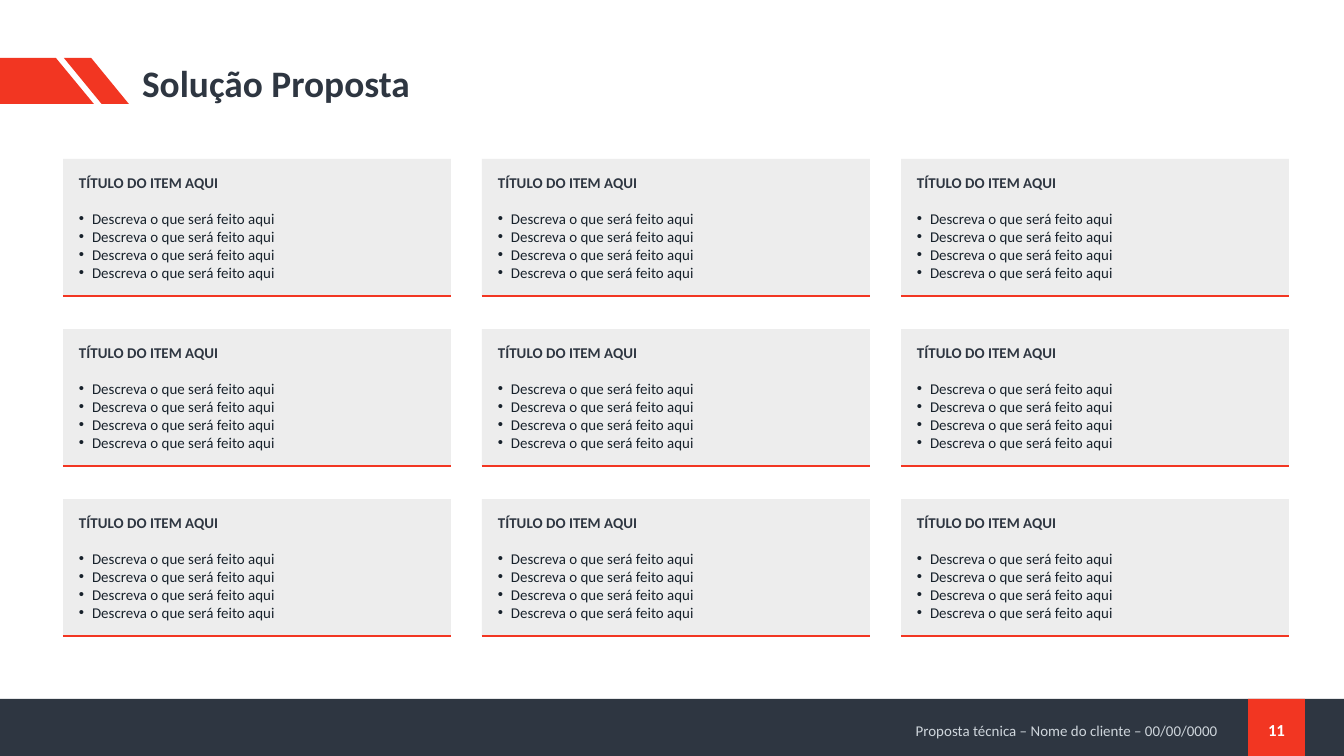
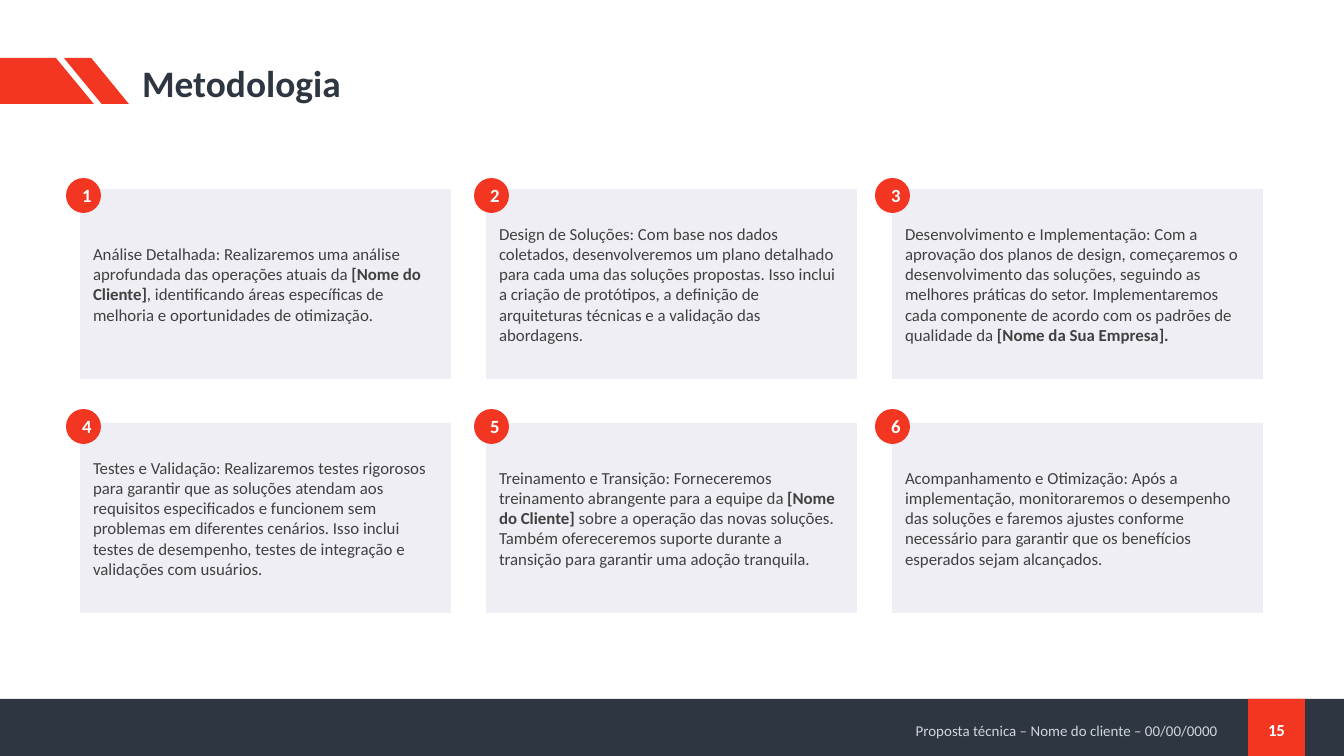
import pptx
import pptx.util
import pptx.dml.color
import pptx.enum.shapes
import pptx.enum.text
import pptx.oxml.ns
import lxml.etree

RGB = pptx.dml.color.RGBColor
KIND = pptx.enum.shapes.MSO_SHAPE
ALIGN = pptx.enum.text.PP_ALIGN
qn = pptx.oxml.ns.qn

SCALE = 914400 / 134.4  # EMU in one px
FONT = "Calibri"
NAVY = RGB(0x2E, 0x36, 0x41)
RED = RGB(0xF2, 0x36, 0x22)
INK = RGB(0x17, 0x21, 0x2B)
TEXT = RGB(0x40, 0x40, 0x40)
GRAY = RGB(0xA6, 0xA6, 0xA6)
LILAC = RGB(0xF0, 0xEE, 0xF5)
PALE = RGB(0xCF, 0xD6, 0xDC)
WHITE = RGB(0xFF, 0xFF, 0xFF)

# Each step is a list of (text, bold) runs
STEPS = [
    [("Análise Detalhada: Realizaremos uma análise aprofundada das operações atuais da ", False),
     ("[Nome do Cliente]", True),
     (", identificando áreas específicas de melhoria e oportunidades de otimização.", False)],
    [("Design de Soluções: Com base nos dados coletados, desenvolveremos um plano detalhado "
      "para cada uma das soluções propostas. Isso inclui a criação de protótipos, a definição "
      "de arquiteturas técnicas e a validação das abordagens.", False)],
    [("Desenvolvimento e Implementação: Com a aprovação dos planos de design, começaremos o "
      "desenvolvimento das soluções, seguindo as melhores práticas do setor. Implementaremos "
      "cada componente de acordo com os padrões de qualidade da ", False),
     ("[Nome da Sua Empresa].", True)],
    [("Testes e Validação: Realizaremos testes rigorosos para garantir que as soluções atendam "
      "aos requisitos especificados e funcionem sem problemas em diferentes cenários. Isso "
      "inclui testes de desempenho, testes de integração e validações com usuários.", False)],
    [("Treinamento e Transição: Forneceremos treinamento abrangente para a equipe da ", False),
     ("[Nome do Cliente] ", True),
     ("sobre a operação das novas soluções. Também ofereceremos suporte durante a transição "
      "para garantir uma adoção tranquila.", False)],
    [("Acompanhamento e Otimização: Após a implementação, monitoraremos o desempenho das "
      "soluções e faremos ajustes conforme necessário para garantir que os benefícios "
      "esperados sejam alcançados.", False)],
]


def px(n):
    return pptx.util.Emu(round(n * SCALE))


def paint(shape, color):
    shape.shadow.inherit = False
    shape.fill.solid()
    shape.fill.fore_color.rgb = color
    shape.line.fill.background()
    return shape


def box(shapes, kind, x, y, w, h, color):
    return paint(shapes.add_shape(kind, px(x), px(y), px(w), px(h)), color)


def frame(shape, left=13, right=13, top=7, wrap=True):
    """Prepare a text frame, centred in height, with insets in px."""
    tf = shape.text_frame
    tf.word_wrap = wrap
    tf.vertical_anchor = pptx.enum.text.MSO_ANCHOR.MIDDLE
    tf.margin_left, tf.margin_right = px(left), px(right)
    tf.margin_top = tf.margin_bottom = px(top)
    return tf


def write(para, text, size, color, bold=False, align=ALIGN.LEFT):
    para.alignment = align
    run = para.add_run()
    run.text = text
    run.font.name = FONT
    run.font.size = pptx.util.Pt(size)
    run.font.bold = bold
    run.font.color.rgb = color


def label(slide, x, y, w, h, right=13):
    return frame(slide.shapes.add_textbox(px(x), px(y), px(w), px(h)), right=right).paragraphs[0]


def bullet(para):
    props = para._p.get_or_add_pPr()
    props.set("marL", str(px(13)))
    props.set("indent", str(px(-13)))
    font = lxml.etree.SubElement(props, qn("a:buFont"))
    font.set("typeface", "Arial")
    lxml.etree.SubElement(props, qn("a:buChar")).set("char", "•")


def brand(slide, layout):
    """Draw the shared parts, then move them to the layout."""
    for ph in list(layout.placeholders):
        if ph.placeholder_format.idx != 0:
            layout.shapes.element.remove(ph.element)
    old = len(slide.shapes)
    shapes = slide.shapes
    # Footer band and page tile
    box(shapes, KIND.RECTANGLE, 0, 699, 1344, 57, NAVY)
    box(shapes, KIND.RECTANGLE, 1248, 699, 57, 57, RED)
    # Title flag
    flag = shapes.build_freeform(0, 58, scale=SCALE)
    flag.add_line_segments([(56, 58), (94, 104), (0, 104)], close=True)
    paint(flag.convert_to_shape(), RED)
    slash = box(shapes, KIND.PARALLELOGRAM, 64, 58, 65, 46, RED)
    slash.adjustments[0] = 0.82
    slash.element.spPr.find(qn("a:xfrm")).set("flipH", "1")
    # Footer text
    para = label(slide, 751, 718, 488, 28, right=21)
    para.line_spacing = 0.9
    write(para, "Proposta técnica – Nome do cliente – 00/00/0000", 8, PALE, align=ALIGN.RIGHT)
    for shape in list(shapes)[old:]:
        layout.shapes.element.append(shape.element)


def page(deck, layout, title, num):
    slide = deck.slides.add_slide(layout)
    head = slide.shapes.title
    head.left, head.top, head.width, head.height = px(129), px(58), px(1176), px(55)
    tf = frame(head)
    tf.auto_size = pptx.enum.text.MSO_AUTO_SIZE.SHAPE_TO_FIT_TEXT
    tf.paragraphs[0].line_spacing = 0.9
    write(tf.paragraphs[0], title, 20, NAVY, True)
    write(label(slide, 1248, 710, 57, 40), num, 9, WHITE, True, ALIGN.CENTER)
    return slide


def card(slide, x, y):
    w, h = 388, 137
    group = slide.shapes.add_group_shape()
    panel = box(group.shapes, KIND.RECTANGLE, x, y, w, h, GRAY)
    tone = panel.element.spPr.find(qn("a:solidFill")).find(qn("a:srgbClr"))
    lxml.etree.SubElement(tone, qn("a:alpha")).set("val", "20000")
    tf = frame(panel, 16, 16, 0)
    write(tf.paragraphs[0], "TÍTULO DO ITEM AQUI", 8, NAVY, True)
    for i in range(4):
        para = tf.add_paragraph()
        bullet(para)
        if i == 0:
            para.space_before = pptx.util.Pt(9.75)
        write(para, "Descreva o que será feito aqui", 8, INK)
    # Red base line
    rule = group.shapes.add_connector(
        pptx.enum.shapes.MSO_CONNECTOR.STRAIGHT, px(x), px(y + h), px(x + w), px(y + h))
    rule.line.color.rgb = RED
    rule.line.width = pptx.util.Pt(1.5)
    lxml.etree.SubElement(rule.element.spPr, qn("a:effectLst"))


def step(slide, x, y, runs):
    tf = frame(box(slide.shapes, KIND.RECTANGLE, x, y, 371, 190, LILAC))
    for text, bold in runs:
        write(tf.paragraphs[0], text, 9, TEXT, bold)


def badge(slide, x, y, num):
    tf = frame(box(slide.shapes, KIND.OVAL, x, y, 35, 35, RED), 7, 0, 0, wrap=False)
    write(tf.paragraphs[0], str(num), 10, WHITE, True, ALIGN.CENTER)


def main():
    deck = pptx.Presentation()
    deck.slide_width, deck.slide_height = px(1344), px(756)
    layout = deck.slide_layouts[5]

    # Slide 1: three by three cards
    slide = page(deck, layout, "Solução Proposta", "11")
    brand(slide, layout)
    for col in range(3):
        for row in range(3):
            card(slide, 63 + 419 * col, 159 + 170 * row)

    # Slide 2: six numbered steps
    slide = page(deck, layout, "Metodologia", "15")
    for i, runs in enumerate(STEPS):
        row, col = divmod(i, 3)
        step(slide, 80 + 406 * col, 189 + 234 * row, runs)
        badge(slide, (66, 474, 875)[col], 178 + 231 * row, i + 1)

    deck.save("out.pptx")


if __name__ == "__main__":
    main()
